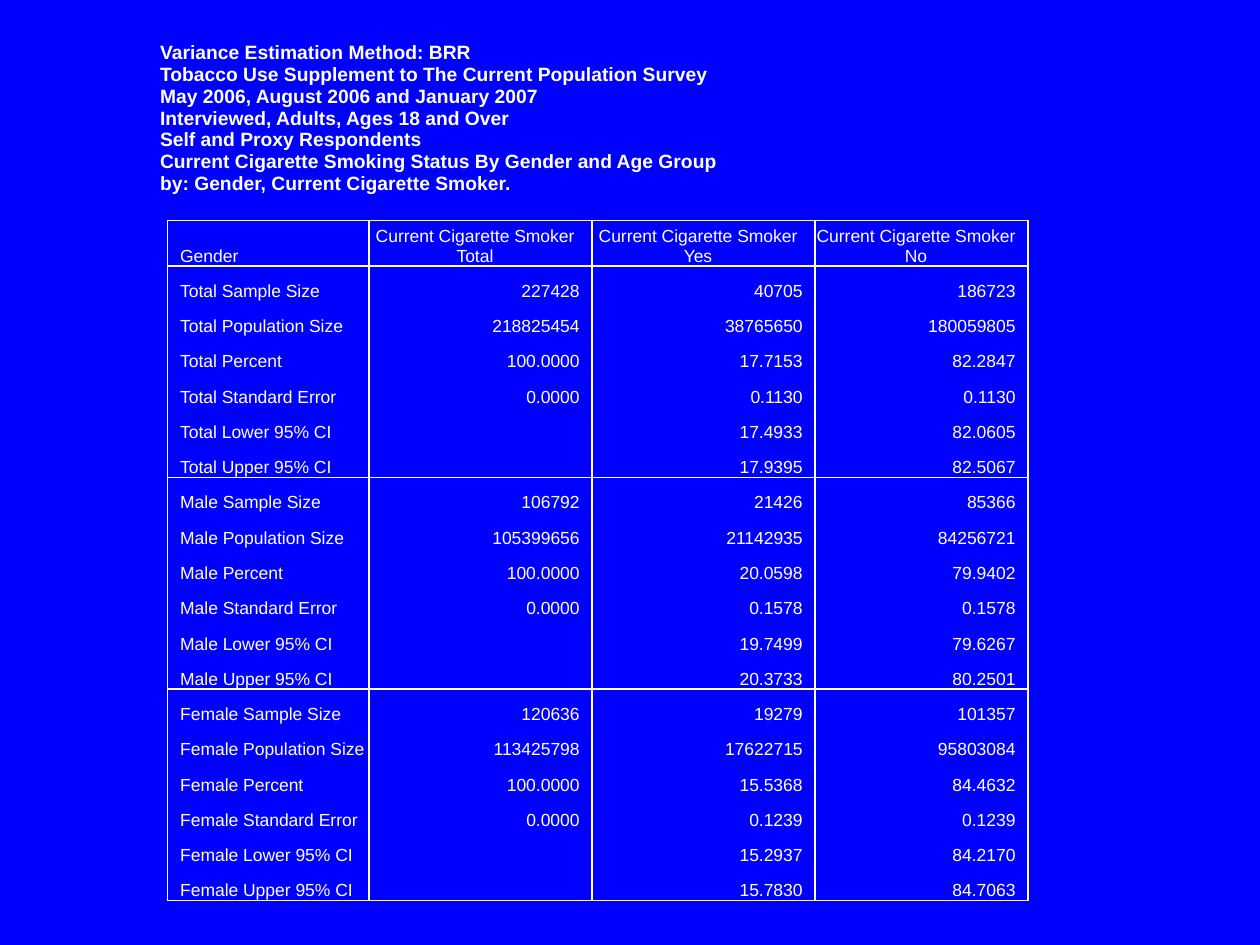
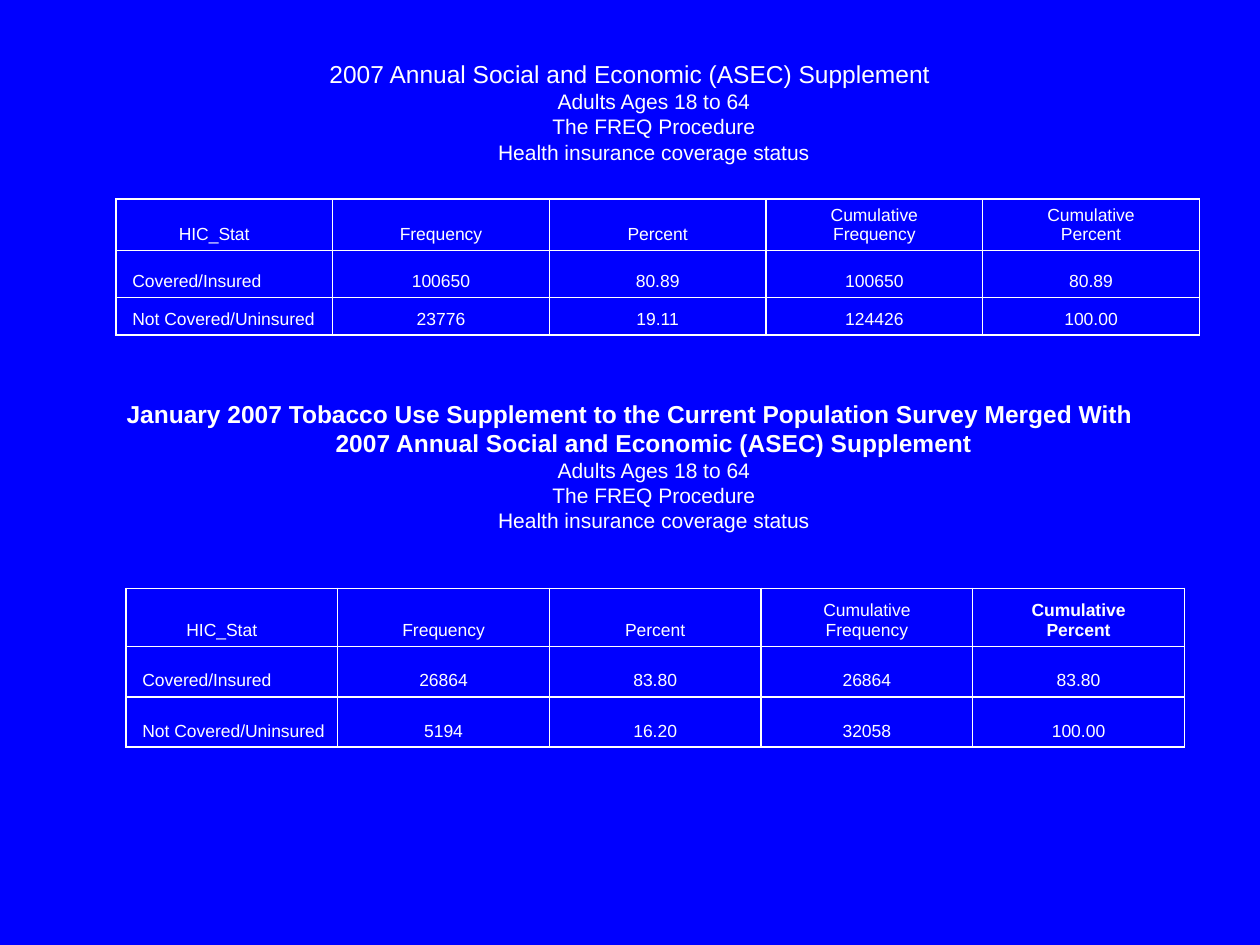
from dataclasses import dataclass

from pptx import Presentation
from pptx.dml.color import RGBColor
from pptx.enum.text import MSO_ANCHOR, MSO_AUTO_SIZE, PP_ALIGN
from pptx.oxml.ns import qn
from pptx.util import Inches, Pt
from lxml import etree

LEFT, CENTER, RIGHT = PP_ALIGN.LEFT, PP_ALIGN.CENTER, PP_ALIGN.RIGHT
TOP, MIDDLE, BOTTOM = MSO_ANCHOR.TOP, MSO_ANCHOR.MIDDLE, MSO_ANCHOR.BOTTOM
NO_FIT = MSO_AUTO_SIZE.NONE
TITLE_ONLY, TITLE_AND_BODY = 5, 1
SIDES = {"L": "a:lnL", "R": "a:lnR", "T": "a:lnT", "B": "a:lnB"}


@dataclass(frozen=True)
class Theme:
    font: str = "Arial"
    back: str = "0000FF"
    ink: str = "FFFFFF"
    title: int = 11
    heading: int = 14
    body: int = 12
    cell: int = 10
    rule: int = 1


class Deck:
    """Holds the theme and the current slide, and draws each kind of element."""

    def __init__(self, theme):
        self.theme = theme
        self.prs = Presentation()
        self.prs.slide_width, self.prs.slide_height = Inches(10), Inches(7.5)
        fill = self.prs.slide_master.background.fill
        fill.solid()
        fill.fore_color.rgb = RGBColor.from_string(theme.back)

    def add_slide(self, layout):
        self.slide = self.prs.slides.add_slide(self.prs.slide_layouts[layout])

    def apply(self, obj, formats):
        for name, value in formats.items():
            setattr(obj, name, value)

    def style(self, r, size, bold=False):
        self.apply(r.font, {"name": self.theme.font, "size": Pt(size), "bold": bold})
        r.font.color.rgb = RGBColor.from_string(self.theme.ink)

    def place(self, sp, box, formats):
        for name, value in zip(("left", "top", "width", "height"), box):
            setattr(sp, name, Inches(value))
        self.apply(sp.text_frame, {"word_wrap": True, "auto_size": NO_FIT, **formats})

    def add_lines(self, p, lines, margin, indent, formats):
        self.apply(p, formats)
        pPr = p._p.get_or_add_pPr()
        pPr.set("marL", str(Inches(margin)))
        pPr.set("indent", str(Inches(indent)))
        etree.SubElement(pPr, qn("a:buNone"))
        for i, (text, size, bold) in enumerate(lines):
            if i:
                p.add_line_break()
            r = p.add_run()
            r.text = text
            self.style(r, size, bold)

    def add_title(self, lines, box):
        sp = self.slide.shapes.title
        self.place(sp, box, {"vertical_anchor": MIDDLE, "margin_bottom": Inches(0.26)})
        self.add_lines(sp.text_frame.paragraphs[0],
                       [(text, self.theme.title, True) for text in lines],
                       0.67, 0, {"alignment": LEFT, "line_spacing": 0.95})

    def add_body(self, blocks, box):
        title = self.slide.shapes.title
        title._element.getparent().remove(title._element)
        sp = self.slide.placeholders[1]
        self.place(sp, box, {"vertical_anchor": TOP})
        tf = sp.text_frame
        for i, (lines, gap) in enumerate(blocks):
            p = tf.add_paragraph() if i else tf.paragraphs[0]
            self.add_lines(p, lines, 0.38, -0.38,
                           {"alignment": CENTER, "space_before": Pt(gap)})

    def add_borders(self, cell, sides):
        tcPr = cell._tc.get_or_add_tcPr()
        for side, tag in SIDES.items():
            ln = etree.SubElement(tcPr, qn(tag), w=str(Pt(self.theme.rule)))
            if side in sides:
                fill = etree.SubElement(ln, qn("a:solidFill"))
                etree.SubElement(fill, qn("a:srgbClr"), val=self.theme.ink)
            else:
                etree.SubElement(ln, qn("a:noFill"))
        cell.fill.background()

    def fill_cell(self, cell, text, align, margins, bold=False):
        names = ("margin_left", "margin_top", "margin_right", "margin_bottom")
        self.apply(cell, {"vertical_anchor": BOTTOM,
                          **{n: Inches(m) for n, m in zip(names, margins)}})
        cell.text_frame.text = text
        for p in cell.text_frame.paragraphs:
            p.alignment = align
            for r in p.runs:
                self.style(r, self.theme.cell, bold)
            if not p.runs:
                p._p.get_or_add_endParaRPr().set("sz", str(self.theme.cell * 100))

    def add_table(self, rows, left, top, widths, heights, cell_format, borders):
        frame = self.slide.shapes.add_table(
            len(rows), len(widths), Inches(left), Inches(top),
            Inches(sum(widths)), Inches(sum(heights)))
        table = frame.table
        self.apply(table, {"first_row": False, "horz_banding": False})
        for col, width in zip(table.columns, widths):
            col.width = Inches(width)
        for row, height in zip(table.rows, heights):
            row.height = Inches(height)
        for i, row in enumerate(rows):
            for j, text in enumerate(row):
                cell = table.cell(i, j)
                self.fill_cell(cell, text, *cell_format(i, j))
                self.add_borders(cell, borders(i))


SURVEY_TITLE = [
    "Variance Estimation Method: BRR",
    "Tobacco Use Supplement to The Current Population Survey",
    "May 2006, August 2006 and January 2007",
    "Interviewed, Adults, Ages 18 and Over",
    "Self and Proxy Respondents",
    "Current Cigarette Smoking Status By Gender and Age Group",
    "by: Gender, Current Cigarette Smoker.",
]
MEASURES = ["Sample Size", "Population Size", "Percent", "Standard Error",
            "Lower 95% CI", "Upper 95% CI"]
SMOKERS = {
    "Total": [("227428", "40705", "186723"), ("218825454", "38765650", "180059805"),
              ("100.0000", "17.7153", "82.2847"), ("0.0000", "0.1130", "0.1130"),
              ("", "17.4933", "82.0605"), ("", "17.9395", "82.5067")],
    "Male": [("106792", "21426", "85366"), ("105399656", "21142935", "84256721"),
             ("100.0000", "20.0598", "79.9402"), ("0.0000", "0.1578", "0.1578"),
             ("", "19.7499", "79.6267"), ("", "20.3733", "80.2501")],
    "Female": [("120636", "19279", "101357"), ("113425798", "17622715", "95803084"),
               ("100.0000", "15.5368", "84.4632"), ("0.0000", "0.1239", "0.1239"),
               ("", "15.2937", "84.2170"), ("", "15.7830", "84.7063")],
}
ASEC = "2007 Annual Social and Economic (ASEC) Supplement"
MERGED = "January 2007 Tobacco Use Supplement to the Current Population Survey Merged With"
PROCEDURE = ["Adults Ages 18 to 64", "The FREQ Procedure", "Health insurance coverage status"]
COVERAGE_HEAD = ["HIC_Stat", "Frequency", "Percent", "Cumulative\nFrequency",
                 "Cumulative\nPercent"]
ASEC_COUNTS = [["Covered/Insured", "100650", "80.89", "100650", "80.89"],
               ["Not Covered/Uninsured", "23776", "19.11", "124426", "100.00"]]
MERGED_COUNTS = [["Covered/Insured", "26864", "83.80", "26864", "83.80"],
                 ["Not Covered/Uninsured", "5194", "16.20", "32058", "100.00"]]


def smoker_format(i, j):
    if j == 0:
        return LEFT, (0.1, 0.01, 0.01, 0)
    return (RIGHT if i else CENTER), (0.01, 0.01, 0.1, 0)


def smoker_borders(i):
    return "LR" + ("T" if i % len(MEASURES) == 1 or i == 0 else "") + (
        "B" if i % len(MEASURES) == 0 else "")


def coverage_format(i, j, bold_last):
    if j == 0:
        align, left, right = (LEFT, 0.13, 0.01) if i else (CENTER, 0.01, 0.17)
        return align, (left, 0.01, right, 0.05)
    return CENTER, (0.01, 0.01, 0.01, 0.05), bold_last and i == 0 and j == 4


def build_smoking_slide(deck):
    deck.add_slide(TITLE_ONLY)
    deck.add_title(SURVEY_TITLE, (0.5, 0.42, 9, 1.25))
    rows = [["Gender"] + [f"Current Cigarette Smoker\n{c}" for c in ("Total", "Yes", "No")]]
    for group, values in SMOKERS.items():
        rows += [[f"{group} {m}", *v] for m, v in zip(MEASURES, values)]
    deck.add_table(rows, 1.33, 1.75, [1.6, 1.77, 1.77, 1.69],
                   [0.36] + [0.28] * (len(rows) - 1), smoker_format, smoker_borders)


def build_coverage_slide(deck):
    deck.add_slide(TITLE_AND_BODY)
    t = deck.theme
    details = [(text, t.body, False) for text in PROCEDURE]
    deck.add_body([([(ASEC, t.heading, False)] + details, 0),
                   ([(MERGED, t.heading, True), (ASEC, t.heading, True)] + details, 134)],
                  (0.5, 0.42, 9, 6.28))
    for counts, left, top, width, heights, bold_last in (
            (ASEC_COUNTS, 0.92, 1.58, 1.72, [0.41, 0.37, 0.3], False),
            (MERGED_COUNTS, 1, 4.67, 1.68, [0.46, 0.4, 0.4], True)):
        deck.add_table([COVERAGE_HEAD] + counts, left, top, [width] * 5, heights,
                       lambda i, j: coverage_format(i, j, bold_last), lambda i: "LRTB")


deck = Deck(Theme())
build_smoking_slide(deck)
build_coverage_slide(deck)
deck.prs.save("out.pptx")
